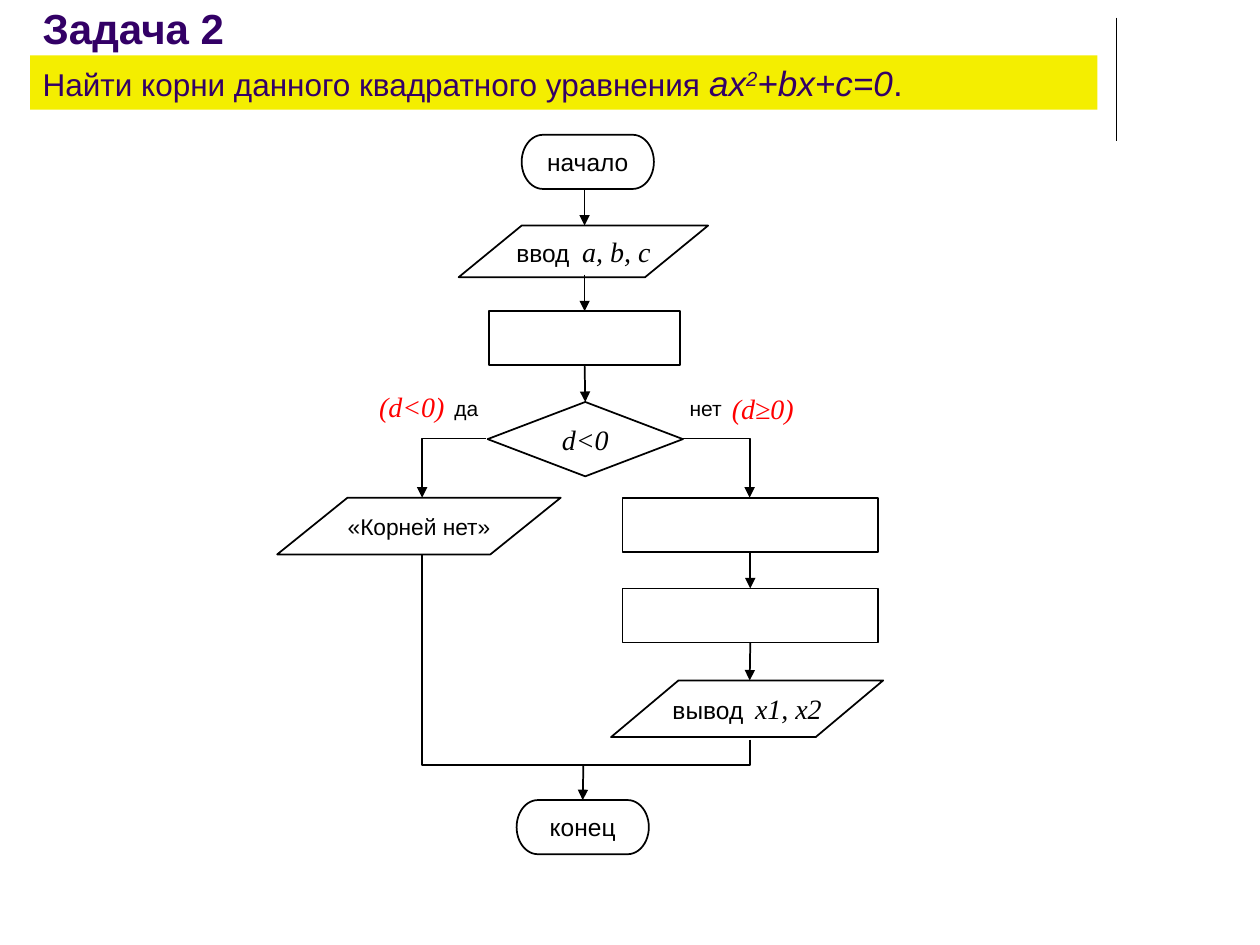
from pptx import Presentation
from pptx.dml.color import RGBColor
from pptx.enum.shapes import MSO_CONNECTOR, MSO_SHAPE
from pptx.enum.text import MSO_ANCHOR, PP_ALIGN
from pptx.oxml.ns import qn
from pptx.util import Inches, Pt
from lxml.etree import SubElement

COLORS = {"ink": "000000", "paper": "FFFFFF", "title": "330066", "band": "F4EE00", "note": "FF0000"}
SANS, SERIF = "Arial", "Times New Roman"

TITLE = [("Задача 2", 24, SANS, "b")]
TASK = [
    ("Найти корни данного квадратного уравнения ", 18, SANS, ""),
    ("ax", 20, SANS, "i"), ("2", 20, SANS, "i^"),
    ("+bx+c=0", 20, SANS, "i"), (".", 20, SANS, ""),
]
OVAL, SLANT = MSO_SHAPE.FLOWCHART_TERMINATOR, MSO_SHAPE.PARALLELOGRAM
RHOMB, RECT = MSO_SHAPE.FLOWCHART_DECISION, MSO_SHAPE.RECTANGLE
NODES = {
    "start": (OVAL, (4.14, 1.07, 1.05, 0.43), None, [("начало", 14, SANS, "")]),
    "input": (SLANT, (3.64, 1.79, 1.98, 0.41), 1.22,
              [("ввод ", 14, SANS, ""), (" ", 12, SANS, ""), ("a, b, c", 16, SERIF, "i")]),
    "none": (SLANT, (2.2, 3.95, 2.25, 0.45), 1.24, [("«Корней нет»", 13, SANS, "")]),
    "test": (RHOMB, (3.87, 3.19, 1.55, 0.59), None, [("d<0", 16, SERIF, "i")]),
    "end": (OVAL, (4.1, 6.35, 1.05, 0.43), None, [("конец", 14, SANS, "")]),
    "discr": (RECT, (3.88, 2.47, 1.52, 0.43), None, []),
    "output": (SLANT, (4.85, 5.4, 2.16, 0.45), 1.19,
               [("вывод", 14, SANS, ""), ("  ", 12, SANS, ""), ("x1, x2", 16, SERIF, "i")]),
    "root1": (RECT, (4.94, 3.95, 2.03, 0.43), None, []),
    "root2": (RECT, (4.94, 4.67, 2.03, 0.43), None, []),
}
ARROWS = [
    (4.64, 1.5, 1.79, None, None),
    (4.64, 2.18, 2.47, None, "discr"),
    (4.64, 2.9, 3.19, "discr", "test"),
    (5.95, 4.38, 4.67, "root1", "root2"),
    (5.95, 5.1, 5.4, "root2", None),
    (4.63, 6.07, 6.35, None, "end"),
]
BENDS = [
    ([(3.86, 3.48), (3.35, 3.48), (3.35, 3.95)], True),
    ([(5.41, 3.48), (5.95, 3.48), (5.95, 3.95)], True),
    ([(5.95, 5.87), (5.95, 6.07), (3.35, 6.07), (3.35, 4.4)], False),
]
BRANCHES = [("да", 3.44), ("нет", 5.34)]
NOTES = [("(d<0)", (2.91, 3.04, 0.79, 0.37)), ("(d≥0)", (5.71, 3.06, 1.02, 0.37))]


def color(name):
    return RGBColor.from_string(COLORS[name])


def write(shape, runs, ink="ink", align=PP_ALIGN.LEFT, anchor=MSO_ANCHOR.TOP, inset=True):
    frame = shape.text_frame
    frame.word_wrap = True
    frame.vertical_anchor = anchor
    if not inset:
        frame.margin_left = frame.margin_right = frame.margin_top = frame.margin_bottom = 0
    para = frame.paragraphs[0]
    para.alignment = align
    for text, size, face, style in runs:
        run = para.add_run()
        run.text = text
        font = run.font
        font.size, font.name = Pt(size), face
        font.bold, font.italic = "b" in style, "i" in style
        font.color.rgb = color(ink)
        if "^" in style:
            run._r.get_or_add_rPr().set("baseline", "30000")


def add_text(box, runs, **opts):
    write(shapes.add_textbox(*map(Inches, box)), runs, **opts)


def add_box(kind, box, fill):
    shape = shapes.add_shape(kind, *map(Inches, box))
    shape.shadow.inherit = False
    shape.fill.solid()
    shape.fill.fore_color.rgb = color(fill)
    return shape


def stroke(shape, width=1, arrow=False):
    shape.line.color.rgb = color("ink")
    shape.line.width = Pt(width)
    if arrow:
        SubElement(shape.line._get_or_add_ln(), qn("a:tailEnd"), type="triangle")


def add_line(x, top, end, width=1, arrow=False):
    line = shapes.add_connector(MSO_CONNECTOR.STRAIGHT, *map(Inches, (x, top, x, end)))
    stroke(line, width, arrow)
    SubElement(line._element.spPr, qn("a:effectLst"))
    return line


deck = Presentation()
deck.slide_width, deck.slide_height = Inches(10), Inches(7.5)
shapes = deck.slides.add_slide(deck.slide_layouts[6]).shapes

add_line(8.86, 0.14, 1.12, 0.75)
add_text((0.24, 0, 8.25, 0.47), TITLE, ink="title", anchor=MSO_ANCHOR.BOTTOM)
band = add_box(RECT, (0.24, 0.44, 8.47, 0.43), "band")
band.line.fill.background()
write(band, TASK, ink="title")

nodes = {}
for name, (kind, box, skew, runs) in NODES.items():
    node = nodes[name] = add_box(kind, box, "paper")
    stroke(node)
    if skew:
        node.adjustments[0] = skew
    if runs:
        write(node, runs, align=PP_ALIGN.CENTER, anchor=MSO_ANCHOR.MIDDLE, inset=False)

for x, top, end, source, target in ARROWS:
    line = add_line(x, top, end, arrow=True)
    if source:
        line.begin_connect(nodes[source], 2)
    if target:
        line.end_connect(nodes[target], 0)

for points, arrow in BENDS:
    first, *rest = [(Inches(x), Inches(y)) for x, y in points]
    pen = shapes.build_freeform(*first)
    pen.add_line_segments(rest, close=False)
    bend = pen.convert_to_shape()
    bend.shadow.inherit = False
    bend.fill.background()
    stroke(bend, arrow=arrow)

for word, left in BRANCHES:
    add_text((left, 3.14, 0.52, 0.3), [(word, 12, SANS, "")], align=PP_ALIGN.CENTER, inset=False)
for word, box in NOTES:
    add_text(box, [(word, 16, SERIF, "i")], ink="note")

deck.save("out.pptx")
